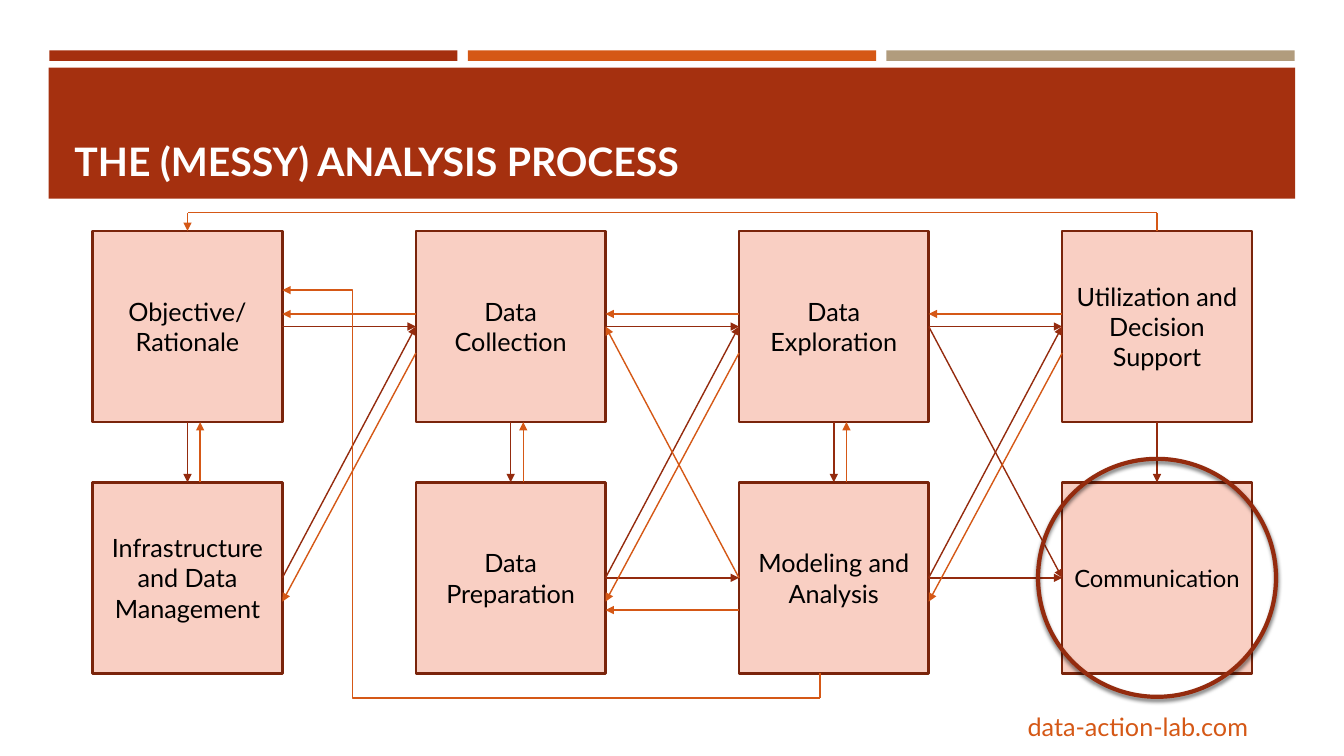
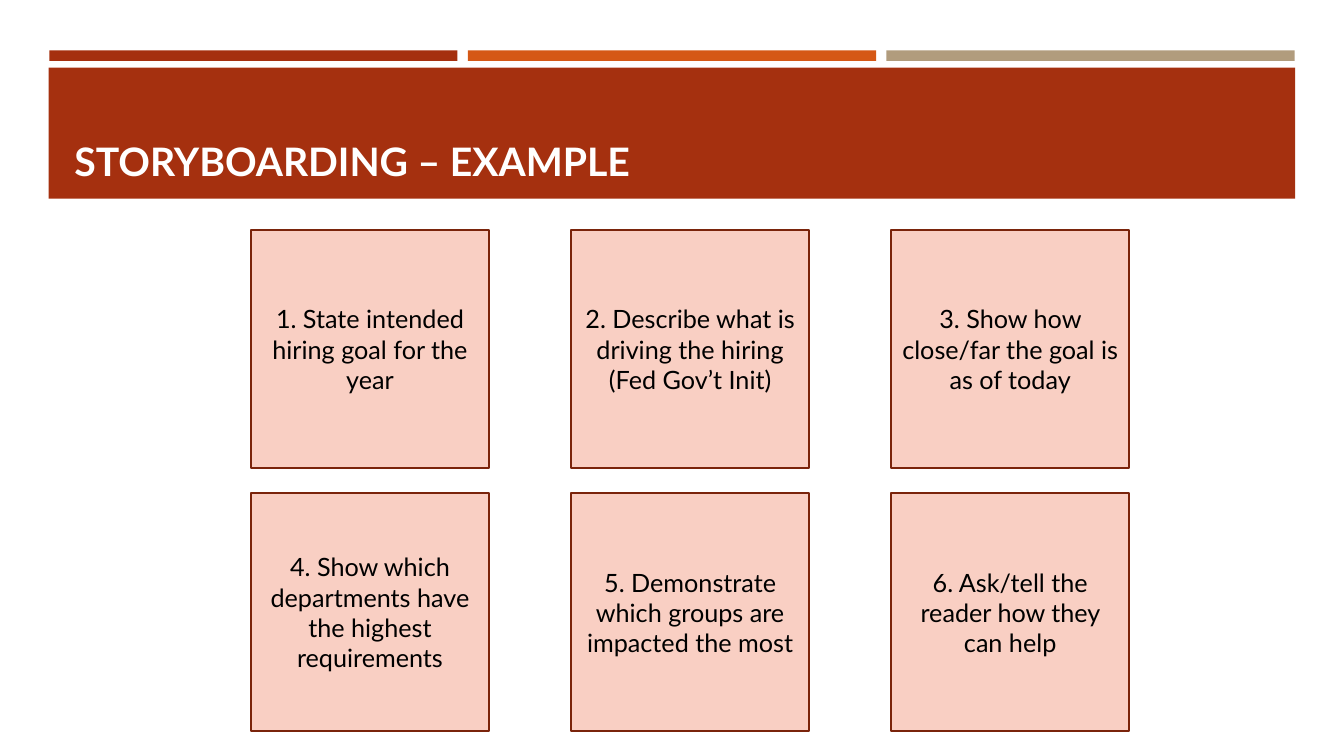
from typing import Any, NamedTuple

from lxml import etree
from pptx import Presentation
from pptx.dml.color import RGBColor
from pptx.enum.shapes import MSO_CONNECTOR as Conn, MSO_SHAPE as Form
from pptx.enum.text import MSO_ANCHOR as Anchor, PP_ALIGN as Align
from pptx.oxml import parse_xml
from pptx.oxml.ns import nsdecls, qn
from pptx.util import Pt

RED = RGBColor(0xA5, 0x30, 0x0F)
ORANGE = RGBColor(0xD5, 0x58, 0x16)
TAN = RGBColor(0xB1, 0x9C, 0x7D)
PINK = RGBColor(0xF9, 0xCF, 0xC3)
BROWN = RGBColor(0x7A, 0x24, 0x0B)
RUST = RGBColor(0x94, 0x2B, 0x0E)
WHITE = RGBColor(0xFF, 0xFF, 0xFF)
BLACK = RGBColor(0, 0, 0)
FONT = "Lato"
TOP, LEFT, BOTTOM, RIGHT = range(4)


class End(NamedTuple):
    """End of a line: a point, and the box side it joins, if any."""
    x: float
    y: float
    box: Any = None
    side: int = 0


def write(shape, words, size=18, color=BLACK, bold=False,
          align=Align.CENTER, anchor=Anchor.MIDDLE):
    frame = shape.text_frame
    frame.word_wrap = True
    frame.vertical_anchor = anchor
    frame.text = words
    for par in frame.paragraphs:
        par.alignment = align
        font = par.font
        font.name, font.size, font.bold = FONT, Pt(size), bold
        font.color.rgb = color


def label(slide, box, words, **style):
    write(slide.shapes.add_textbox(*map(Pt, box)), words, **style)


def draw(slide, form, box, fill=None, line=None, width=1.75):
    shape = slide.shapes.add_shape(form, *map(Pt, box))
    shape.shadow.inherit = False
    if fill is None:
        shape.fill.background()
    else:
        shape.fill.solid()
        shape.fill.fore_color.rgb = fill
    if line is None:
        shape.line.fill.background()
    else:
        shape.line.color.rgb = line
        shape.line.width = Pt(width)
    return shape


# Lines and arrows
def spot(box, side, shift=0):
    """Point on a side of a box, moved along it from the middle."""
    x, y, w, h = (v.pt for v in (box.left, box.top, box.width, box.height))
    if side in (TOP, BOTTOM):
        x, y = x + w / 2 + shift, y + (h if side == BOTTOM else 0)
    else:
        x, y = x + (w if side == RIGHT else 0), y + h / 2 + shift
    return End(x, y) if shift else End(x, y, box, side)


def link(slide, start, end, color, arrow=True, bend=None):
    kind = Conn.STRAIGHT if bend is None else Conn.ELBOW
    line = slide.shapes.add_connector(
        kind, Pt(start.x), Pt(start.y), Pt(end.x), Pt(end.y))
    if start.box is not None:
        line.begin_connect(start.box, start.side)
    if end.box is not None:
        line.end_connect(end.box, end.side)
    line.line.color.rgb = color
    line.line.width = Pt(1)
    props = line._element.spPr
    if arrow:
        etree.SubElement(props.find(qn("a:ln")), qn("a:tailEnd"),
                         type="triangle")
    if bend is not None:
        guides = props.find(qn("a:prstGeom")).get_or_add_avLst()
        etree.SubElement(guides, qn("a:gd"), name="adj1",
                         fmla=f"val {round(bend * 100000)}")
    etree.SubElement(props, qn("a:effectLst"))


# Shared frame: three bars, title band
def base(deck, title):
    slide = deck.slides.add_slide(deck.slide_layouts[6])
    for i, color in enumerate((RED, ORANGE, TAN)):
        draw(slide, Form.RECTANGLE, (35.2 + i * 299, 36, 291.6, 7.5), color)
    left, top, width, height = band = (34.8, 48.4, 890.4, 93.6)
    draw(slide, Form.RECTANGLE, band, RED)
    label(slide, (left + 11.3, top + 7, width - 22.6, height - 13.7), title,
          size=28, color=WHITE, bold=True, align=Align.LEFT,
          anchor=Anchor.BOTTOM)
    return slide


def grid(slide, box, size, rows):
    """Spread rows of cards evenly over a box; return them by (col, row)."""
    left, top, width, height = box
    wide, high = size
    across = (width - wide) / (len(rows[0]) - 1)
    down = (height - high) / (len(rows) - 1)
    cards = {}
    for r, row in enumerate(rows):
        for c, words in enumerate(row):
            place = (left + c * across, top + r * down, wide, high)
            card = draw(slide, Form.RECTANGLE, place, PINK, BROWN)
            write(card, words, size=17 if words == "Communication" else 18)
            cards[c, r] = card
    return cards


# Arrows that lead onward
def onward(slide, cards):
    steps = [((c, 0), BOTTOM, (c, 1), TOP) for c in range(4)]
    for c in range(3):
        steps += [((c, r), RIGHT, (c + 1, 0), LEFT) for r in (0, 1)]
    steps += [((c, r), RIGHT, (c + 1, 1), LEFT)
              for c, r in ((1, 1), (2, 1), (2, 0))]
    for a, out, b, into in steps:
        link(slide, spot(cards[a], out), spot(cards[b], into), RUST)


# Arrows that lead back
def back(slide, cards):
    steps = [((2, 1), LEFT, 0, (1, 0), RIGHT, 0),
             ((2, 1), LEFT, 23, (1, 1), RIGHT, 23)]
    for c in range(3):
        steps += [((c, 1), TOP, 9, (c, 0), BOTTOM, 9),
                  ((c + 1, 0), LEFT, -9, (c, 0), RIGHT, -9),
                  ((c + 1, 0), LEFT, 19, (c, 1), RIGHT, 17)]
    for a, out, shift, b, into, move in steps:
        link(slide, spot(cards[a], out, shift), spot(cards[b], into, move),
             ORANGE)


# Long loops back to the first card
def loops(slide, cards):
    first = cards[0, 0]
    foot = spot(cards[2, 1], BOTTOM, -10)
    low = End(foot.x, foot.y + 17.5)
    link(slide, foot, low, ORANGE, arrow=False)
    link(slide, low, spot(first, RIGHT, -26), ORANGE, bend=0.87)

    last, goal = spot(cards[3, 0], TOP), spot(first, TOP)
    high, turn = (End(p.x, p.y - 13) for p in (last, goal))
    link(slide, last, high, ORANGE, arrow=False)
    link(slide, high, turn, ORANGE, arrow=False)
    link(slide, turn, goal, ORANGE)


# Ring around one card
def ring(slide, card, size):
    x = card.left.pt + (card.width.pt - size) / 2
    y = card.top.pt + (card.height.pt - size) / 2
    oval = draw(slide, Form.OVAL, (x, y, size, size), line=RUST, width=3)
    oval._element.spPr.find(qn("a:effectLst")).append(parse_xml(
        f'<a:outerShdw {nsdecls("a")} blurRad="{Pt(3)}" dist="{Pt(2)}" '
        'dir="5400000" rotWithShape="0"><a:srgbClr val="000000">'
        '<a:alpha val="55000"/></a:srgbClr></a:outerShdw>'))


def process(deck):
    slide = base(deck, "THE (MESSY) ANALYSIS PROCESS")
    label(slide, (711.4, 504.7, 187.2, 28.8), "data-action-lab.com",
          color=ORANGE, align=Align.RIGHT, anchor=Anchor.TOP)
    cards = grid(slide, (66.2, 165, 828, 316), (135.5, 136.5), [
        ["Objective/\nRationale", "Data\vCollection", "Data Exploration",
         "Utilization and Decision Support"],
        ["Infrastructure and Data Management", "Data Preparation",
         "Modeling and Analysis", "Communication"]])
    onward(slide, cards)
    back(slide, cards)
    loops(slide, cards)
    ring(slide, cards[3, 1], 170)


def story(deck):
    slide = base(deck, "STORYBOARDING – EXAMPLE")
    grid(slide, (179.3, 164.3, 627.3, 358), (170, 170), [
        ["1. State intended hiring goal for the year",
         "2. Describe what is driving the hiring\v(Fed Gov’t Init)",
         "3. Show how close/far the goal is as of today"],
        ["4. Show which departments have the highest requirements",
         "5. Demonstrate which groups are impacted the most",
         "6. Ask/tell the reader how they can help"]])


def main():
    deck = Presentation()
    deck.slide_width, deck.slide_height = Pt(960), Pt(540)
    process(deck)
    story(deck)
    deck.save("out.pptx")


if __name__ == "__main__":
    main()
